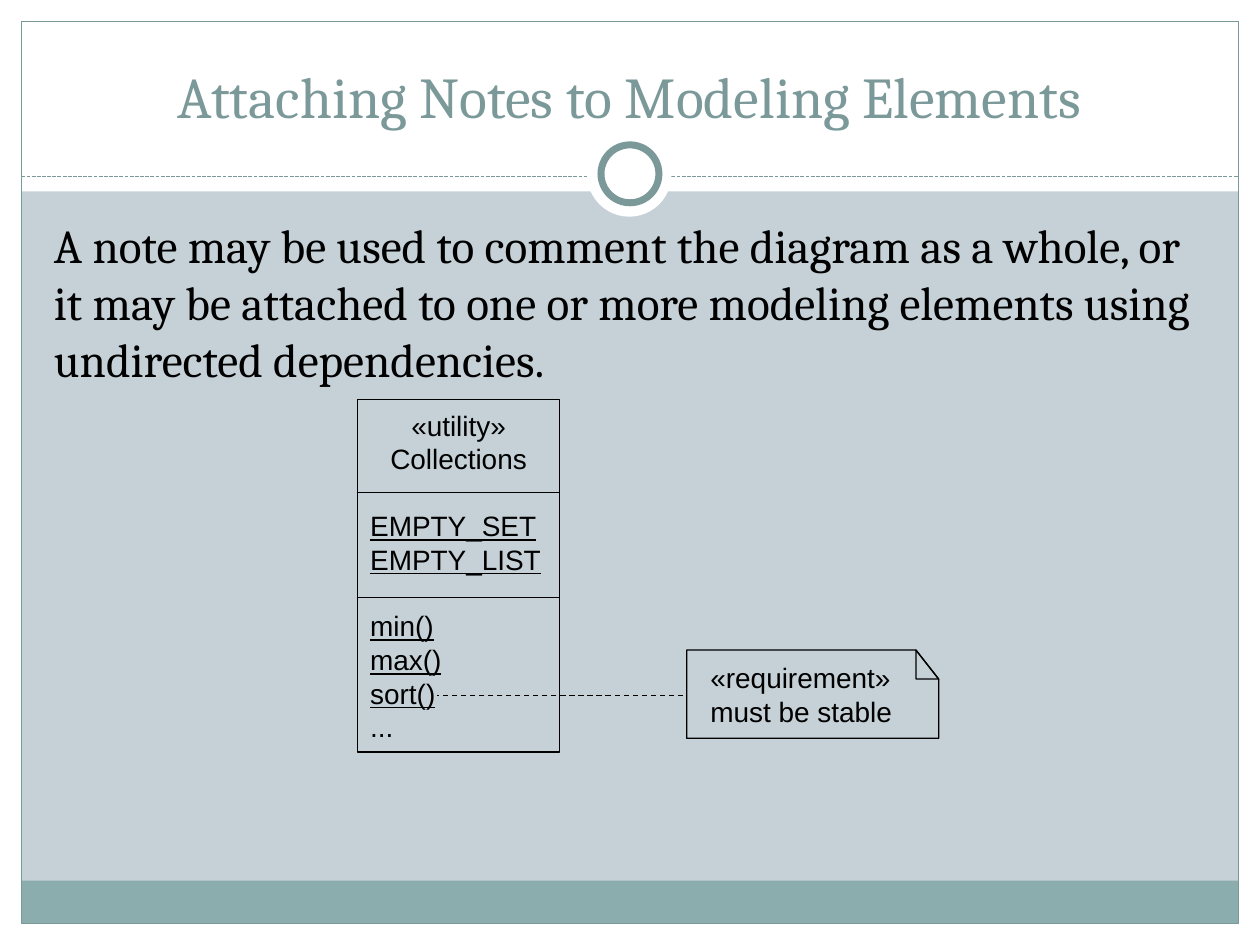
from lxml import etree
from pptx import Presentation
from pptx.dml.color import RGBColor
from pptx.enum.dml import MSO_LINE
from pptx.enum.shapes import MSO_CONNECTOR, MSO_SHAPE
from pptx.enum.text import MSO_ANCHOR, PP_ALIGN
from pptx.oxml.ns import qn
from pptx.util import Pt

PX = 9144
PAGE_WIDTH, PAGE_HEIGHT = 1000, 750

RECTANGLE, OVAL = MSO_SHAPE.RECTANGLE, MSO_SHAPE.OVAL
FOLD = MSO_SHAPE.RIGHT_TRIANGLE
STRAIGHT = MSO_CONNECTOR.STRAIGHT
DASH, FINE_DASH = MSO_LINE.DASH, MSO_LINE.SQUARE_DOT
TOP, MIDDLE, BOTTOM = MSO_ANCHOR.TOP, MSO_ANCHOR.MIDDLE, MSO_ANCHOR.BOTTOM
LEFT, CENTER = PP_ALIGN.LEFT, PP_ALIGN.CENTER

WHITE = RGBColor(0xFF, 0xFF, 0xFF)
BLACK = RGBColor(0x00, 0x00, 0x00)
MIST = RGBColor(0xC5, 0xD1, 0xD7)
TEAL = RGBColor(0x8C, 0xAD, 0xAE)
SLATE = RGBColor(0x7C, 0x99, 0x9A)

SERIF, SANS = "Cambria", "Arial"


def scaled(*lengths):
    return [length * PX for length in lengths]


def style_shape(shape, fill, line, weight):
    shape.shadow.inherit = False
    if fill is None:
        shape.fill.background()
    else:
        shape.fill.solid()
        shape.fill.fore_color.rgb = fill
    if line is None:
        shape.line.fill.background()
    else:
        shape.line.color.rgb = line
        shape.line.width = Pt(weight)
    return shape


def add_shape(page, kind, box, fill=None, line=None, weight=0.75):
    shape = page.shapes.add_shape(kind, *scaled(*box))
    return style_shape(shape, fill, line, weight)


def add_line(page, start, end, color=BLACK, dash=None):
    line = page.shapes.add_connector(STRAIGHT, *scaled(*start, *end))
    line.line.color.rgb = color
    line.line.width = Pt(0.75)
    if dash is not None:
        line.line.dash_style = dash
    etree.SubElement(line._element.spPr, qn("a:effectLst"))


def add_para(frame, text, size, font, color=BLACK, align=LEFT):
    para = frame.paragraphs[0]
    if para.runs:
        para = frame.add_paragraph()
    para.text = text
    para.alignment = align
    para.font.size = Pt(size)
    para.font.name = font
    para.font.color.rgb = color
    return para


def add_text(page, box, lines, size, font, color=BLACK, align=LEFT, anchor=TOP):
    frame = page.shapes.add_textbox(*scaled(*box)).text_frame
    frame.word_wrap = True
    frame.vertical_anchor = anchor
    for line in lines:
        add_para(frame, line, size, font, color, align)


def draw_frame(page, box):
    left, top, width, height = box
    margin, header, footer = 17, 152, 34
    inner_width = width - 2 * margin
    right, bottom = left + width - margin, top + height - margin
    bands = [
        (left, bottom, width, margin),
        (left, top, width, header),
        (left, top, margin, height),
        (right, top, margin, height),
    ]
    for band in bands:
        add_shape(page, RECTANGLE, band, WHITE)
    add_shape(page, RECTANGLE, (left + margin, bottom - footer, inner_width, footer), TEAL)
    add_shape(page, RECTANGLE, (left + margin, top + margin, inner_width, height - 2 * margin), line=SLATE)
    rule = top + 140
    add_line(page, (left + margin, rule), (right, rule), SLATE, FINE_DASH)
    for size, line in ((67, None), (46, SLATE)):
        ring = (left + (width - size) // 2, top + 138 - size // 2, size, size)
        add_shape(page, OVAL, ring, WHITE, line, 4)


def draw_class(page, box, compartments, dividers):
    left, top, width, height = box
    shape = add_shape(page, RECTANGLE, box, line=BLACK)
    frame = shape.text_frame
    frame.word_wrap = True
    frame.vertical_anchor = MIDDLE
    for index, (align, lines) in enumerate(compartments):
        for row, (text, underlined) in enumerate(lines):
            para = add_para(frame, text, 16, SANS, align=align)
            para.font.underline = underlined
            if index and row == 0:
                para.space_before = Pt(19)
    for offset in dividers:
        add_line(page, (left, top + offset), (left + width, top + offset))


def draw_note(page, box, lines):
    left, top, width, height = box
    fold_width, fold_height = 18, 23
    right, bottom = left + width, top + height
    outline = page.shapes.build_freeform(left, top, scale=PX)
    outline.add_line_segments([
        (right - fold_width, top),
        (right, top + fold_height),
        (right, bottom),
        (left, bottom),
    ])
    style_shape(outline.convert_to_shape(), None, BLACK, 0.75)
    add_shape(page, FOLD, (right - fold_width, top, fold_width, fold_height), line=BLACK)
    add_text(page, (left + 9, top + 3, width - 20, height - 6), lines, 16, SANS, anchor=MIDDLE)


def main():
    deck = Presentation()
    deck.slide_width, deck.slide_height = scaled(PAGE_WIDTH, PAGE_HEIGHT)
    page = deck.slides.add_slide(deck.slide_layouts[6])
    page.background.fill.solid()
    page.background.fill.fore_color.rgb = MIST

    draw_frame(page, (0, 0, PAGE_WIDTH, PAGE_HEIGHT))
    add_text(page, (33, 25, 933, 83), ["Attaching Notes to Modeling Elements"],
             33, SERIF, SLATE, CENTER, BOTTOM)
    add_text(page, (33, 167, 930, 500),
             ["A note may be used to comment the diagram as a whole, or it may be "
              "attached to one or more modeling elements using undirected dependencies."],
             27, SERIF)
    compartments = [
        (CENTER, [("«utility»", False), ("Collections", False)]),
        (LEFT, [("EMPTY_SET", True), ("EMPTY_LIST", True)]),
        (LEFT, [("min()", True), ("max()", True), ("sort()", True), ("...", False)]),
    ]
    draw_class(page, (284, 317, 160, 280), compartments, (74, 157))
    draw_note(page, (545, 516, 200, 70), ["«requirement»", "must be stable"])
    add_line(page, (542, 552), (347, 552), dash=DASH)

    deck.save("out.pptx")


if __name__ == "__main__":
    main()
